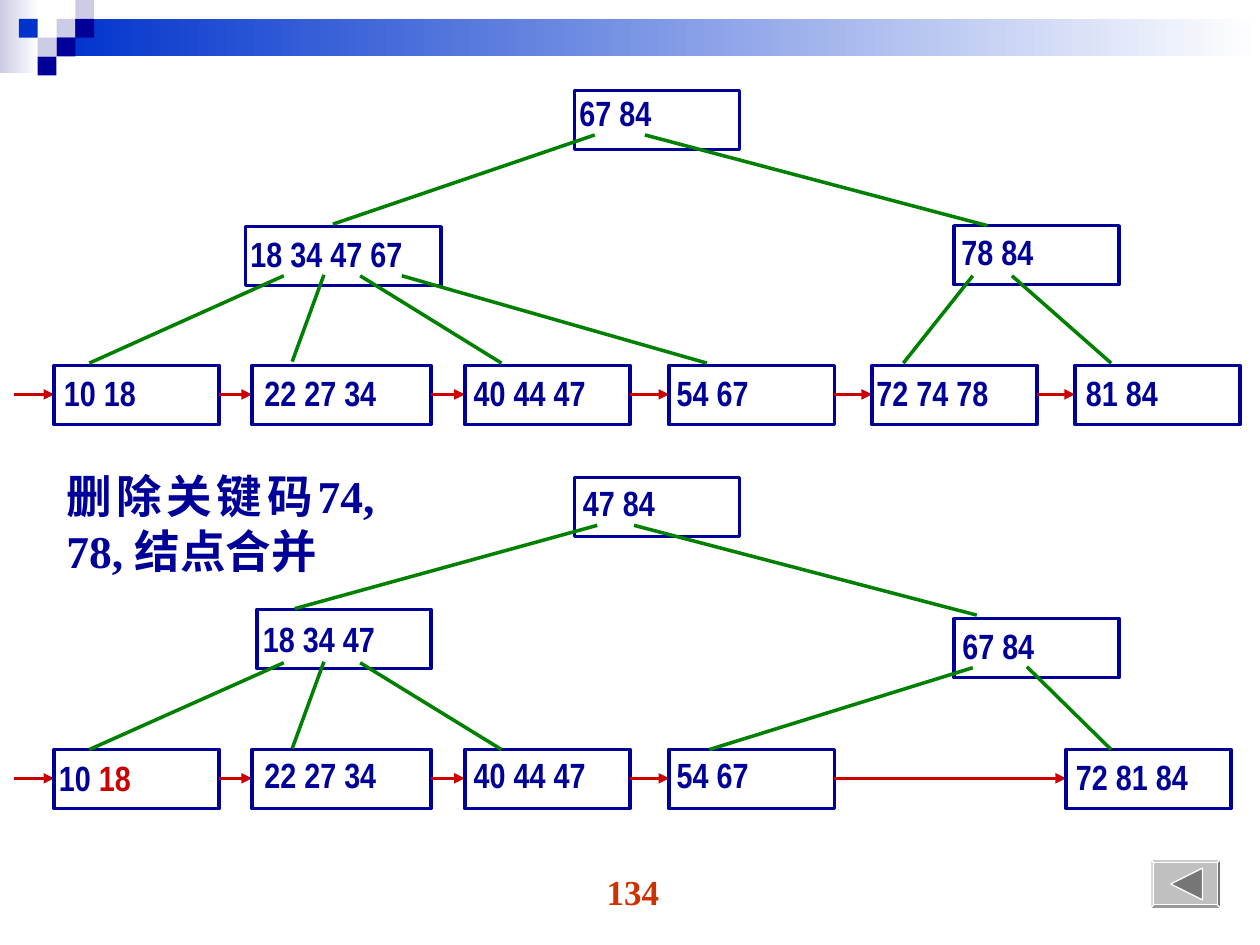
from dataclasses import dataclass
from typing import NamedTuple

from lxml.etree import SubElement
from pptx import Presentation
from pptx.dml.color import RGBColor
from pptx.enum.shapes import MSO_CONNECTOR, MSO_SHAPE
from pptx.enum.text import PP_ALIGN as Align
from pptx.oxml.ns import qn
from pptx.util import Cm, Pt

SLIDE_WIDTH, SLIDE_HEIGHT = 25.4, 19.05


@dataclass(frozen=True)
class Theme:
    navy: str = "000099"
    blue: str = "0033CC"
    lavender: str = "CCCCE6"
    white: str = "FFFFFF"
    branch: str = "008000"
    red: str = "CC0000"
    page: str = "CC3300"
    button: str = "C0C0C0"
    button_icon: str = "767676"
    key_font: str = "Arial Narrow"
    text_font: str = "Times New Roman"
    key_size: int = 20
    note_size: int = 26
    line_width: float = 2


THEME = Theme()


class Node(NamedTuple):
    """A box of keys; dx and dy shift its label from the box corner."""
    keys: str
    left: float
    top: float
    dx: float
    dy: float
    width: float = 3.33
    deleted: str = ""


class Branch(NamedTuple):
    x1: float
    y1: float
    x2: float
    y2: float


class Tree(NamedTuple):
    leaves: list[Node]
    inner: list[Node]
    branches: list[Branch]
    leaf_fill: str | None


UPPER, LOWER = 7.37, 15.11
BEFORE = Tree(
    leaves=[
        Node("10 18", 1.09, UPPER, -0.05, 0),
        Node("22 27 34", 5.08, UPPER, 0, 0, 3.61),
        Node("40 44 47", 9.37, UPPER, -0.07, 0),
        Node("54 67", 13.49, UPPER, -0.1, 0),
        Node("72 74 78", 17.58, UPPER, -0.16, 0),
        Node("81 84", 21.67, UPPER, -0.03, 0),
    ],
    inner=[
        Node("18 34 47 67", 4.95, 4.57, -0.15, 0, 3.94),
        Node("78 84", 19.23, 4.55, -0.1, -0.03),
        Node("67 84", 11.58, 1.83, -0.15, -0.1),
    ],
    branches=[
        Branch(5.72, 5.56, 1.8, 7.32),
        Branch(6.53, 5.54, 5.89, 7.29),
        Branch(7.26, 5.56, 10.11, 7.32),
        Branch(8.1, 5.56, 14.25, 7.32),
        Branch(19.61, 5.56, 18.21, 7.32),
        Branch(20.4, 5.56, 22.4, 7.32),
        Branch(11.99, 2.72, 6.71, 4.52),
        Branch(13, 2.72, 19.91, 4.55),
    ],
    leaf_fill=None,
)
AFTER = Tree(
    leaves=[
        Node("10 ", 1.09, LOWER, -0.15, 0.02, deleted="18"),
        Node("22 27 34", 5.08, LOWER, 0, -0.05, 3.61),
        Node("40 44 47", 9.37, LOWER, -0.07, -0.05),
        Node("54 67", 13.49, LOWER, -0.1, -0.05),
        Node("72 81 84", 21.49, LOWER, -0.05, 0),
    ],
    inner=[
        Node("18 34 47", 5.18, 12.29, -0.13, 0.03, 3.51),
        Node("67 84", 19.23, 12.47, -0.08, 0),
        Node("47 84", 11.58, 9.63, -0.08, -0.05),
    ],
    branches=[
        Branch(5.72, 13.36, 1.8, 15.11),
        Branch(6.53, 13.34, 5.89, 15.09),
        Branch(7.26, 13.36, 10.11, 15.11),
        Branch(19.61, 13.46, 14.3, 15.11),
        Branch(20.7, 13.44, 22.4, 15.11),
        Branch(12.04, 10.59, 5.94, 12.27),
        Branch(12.78, 10.59, 19.69, 12.4),
    ],
    leaf_fill=THEME.white,
)


def rgb(color: str) -> RGBColor:
    return RGBColor.from_string(color)


def add_box(slide, left: float, top: float, width: float, height: float, *,
            fill: str | None = None, fade: bool = False, line: str | None = None,
            line_width: float = THEME.line_width, kind=MSO_SHAPE.RECTANGLE):
    """Add a preset shape; fade runs its fill to white, left to right."""
    shape = slide.shapes.add_shape(kind, Cm(left), Cm(top), Cm(width), Cm(height))
    shape.shadow.inherit = False
    if fill is None:
        shape.fill.background()
    elif fade:
        shape.fill.gradient()
        shape.fill.gradient_angle = 0
        for stop, color in zip(shape.fill.gradient_stops, (fill, THEME.white)):
            stop.color.rgb = rgb(color)
    else:
        shape.fill.solid()
        shape.fill.fore_color.rgb = rgb(fill)
    if line is None:
        shape.line.fill.background()
    else:
        shape.line.color.rgb = rgb(line)
        shape.line.width = Pt(line_width)
    return shape


def add_text(slide, left: float, top: float, width: float, height: float,
             *runs: tuple[str, str], font: str, size: int, align=Align.JUSTIFY) -> None:
    """Add a bold one-paragraph text box; each run is a (text, colour) pair."""
    box = slide.shapes.add_textbox(Cm(left), Cm(top), Cm(width), Cm(height))
    box.text_frame.word_wrap = True
    paragraph = box.text_frame.paragraphs[0]
    paragraph.alignment = align
    for text, color in runs:
        run = paragraph.add_run()
        run.text = text
        run.font.name, run.font.size, run.font.bold = font, Pt(size), True
        run.font.color.rgb = rgb(color)


def add_line(slide, branch: Branch, color: str, arrow: bool = False) -> None:
    connector = slide.shapes.add_connector(MSO_CONNECTOR.STRAIGHT, *map(Cm, branch))
    connector.line.color.rgb = rgb(color)
    connector.line.width = Pt(THEME.line_width)
    if arrow:
        SubElement(connector.line._get_or_add_ln(), qn("a:tailEnd"), type="triangle")
    SubElement(connector._element.spPr, qn("a:effectLst"))


def add_node(slide, node: Node, fill: str | None = None) -> None:
    add_box(slide, node.left, node.top, node.width, 1.19, fill=fill, line=THEME.navy)
    runs = [(node.keys, THEME.navy)]
    if node.deleted:
        runs.append((node.deleted, THEME.red))
    left = node.left + node.dx
    width = min(node.width + 0.6, SLIDE_WIDTH - left)
    add_text(slide, left, node.top + node.dy, width, 1.47, *runs,
             font=THEME.key_font, size=THEME.key_size)


def add_tree(slide, tree: Tree) -> None:
    arrow_start = 0.28
    for leaf in tree.leaves:
        y = leaf.top + 0.58
        add_line(slide, Branch(arrow_start, y, leaf.left, y), THEME.red, arrow=True)
        add_node(slide, leaf, tree.leaf_fill)
        arrow_start = leaf.left + leaf.width
    for node in tree.inner:
        add_node(slide, node)
    for branch in tree.branches:
        add_line(slide, branch, THEME.branch)


def add_header(slide) -> None:
    add_box(slide, 0, 0, 0.79, 1.47, fill=THEME.lavender, fade=True)
    add_box(slide, 1.14, 0.38, 24.26, 0.76, fill=THEME.blue, fade=True)
    cell = 0.38
    tiles = {THEME.lavender: [(3, 1), (4, 0), (2, 2)],
             THEME.navy: [(4, 1), (3, 2), (2, 3)], THEME.blue: [(1, 1)]}
    for color, places in tiles.items():
        for column, row in places:
            add_box(slide, column * cell, row * cell, cell, cell, fill=color)


def add_back_button(slide) -> None:
    style = {"line": THEME.white, "line_width": 0.75}
    frame = add_box(slide, 23.19, 17.32, 1.42, 0.99, fill=THEME.button,
                    kind=MSO_SHAPE.BEVEL, **style)
    frame.adjustments[0] = 0.07
    icon = add_box(slide, 23.6, 17.5, 0.64, 0.64, fill=THEME.button_icon,
                   kind=MSO_SHAPE.ISOSCELES_TRIANGLE, **style)
    icon.rotation = 270


def main() -> None:
    presentation = Presentation()
    presentation.slide_width, presentation.slide_height = Cm(SLIDE_WIDTH), Cm(SLIDE_HEIGHT)
    slide = presentation.slides.add_slide(presentation.slide_layouts[6])
    add_header(slide)
    add_text(slide, 9.8, 17.42, 5.92, 1.32, ("134", THEME.page),
             font=THEME.text_font, size=THEME.key_size, align=Align.CENTER)
    add_text(slide, 1.09, 9.32, 6.71, 3.25, ("删除关键码74, 78, 结点合并", THEME.navy),
             font=THEME.text_font, size=THEME.note_size)
    for tree in (BEFORE, AFTER):
        add_tree(slide, tree)
    add_back_button(slide)
    presentation.save("out.pptx")


if __name__ == "__main__":
    main()
